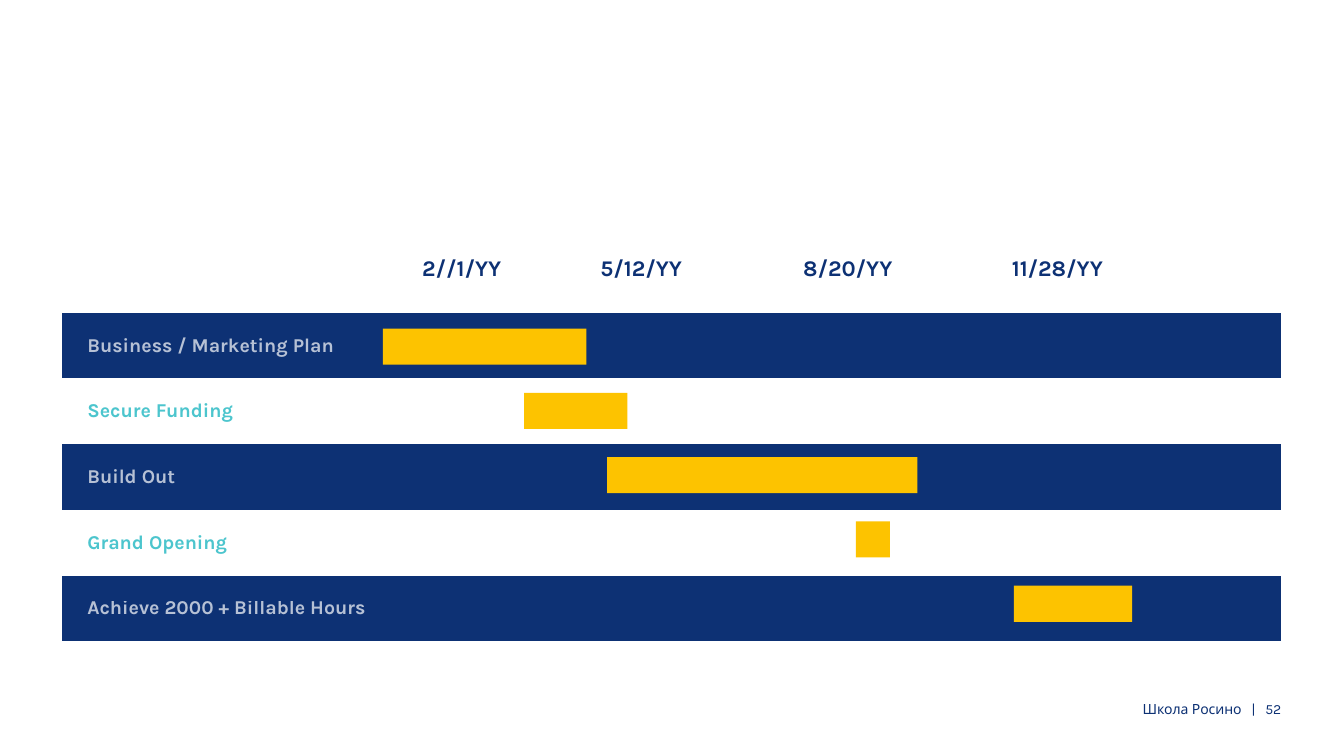
"""Build a project timeline slide with five tasks and their date bars."""
from lxml import etree
from pptx import Presentation
from pptx.dml.color import RGBColor
from pptx.enum.shapes import MSO_SHAPE
from pptx.enum.text import MSO_ANCHOR, PP_ALIGN
from pptx.oxml.ns import qn
from pptx.util import Cm, Pt

RECT = MSO_SHAPE.RECTANGLE
MIDDLE = MSO_ANCHOR.MIDDLE
RIGHT = PP_ALIGN.RIGHT
NAVY, GOLD, TEAL, WHITE = "0D3174", "FDC300", "00ADB9", "FFFFFF"
PLAIN = "{2D5ABB26-0587-4C30-8999-92F81FD0307C}"


def tone(code):
    return RGBColor.from_string(code)


def write(par, text, size, code, bold=False):
    run = par.add_run()
    run.text = text
    run.font.name = "Karla"
    run.font.size = Pt(size)
    run.font.bold = bold
    run.font.color.rgb = tone(code)
    return run


deck = Presentation()
deck.slide_width, deck.slide_height = Cm(33.87), Cm(19.05)
slide = deck.slides.add_slide(deck.slide_layouts[6])
shapes = slide.shapes

foot = shapes.add_textbox(Cm(25.58), Cm(17.65), Cm(6.71), Cm(1.02)).text_frame
foot.word_wrap = True
foot.margin_left = foot.margin_right = foot.margin_top = foot.margin_bottom = 0
foot.paragraphs[0].alignment = RIGHT
write(foot.paragraphs[0], "Школа Росино\u00a0\u00a0 |\u00a0\u00a0 52".replace("\u00a0", " "), 10, NAVY)

tasks = [
    ("Business / Marketing Plan", 9.65, 5.13),
    ("Secure Funding", 13.21, 2.6),
    ("Build Out", 15.3, 7.82),
    ("Grand Opening", 21.57, 0.86),
    ("Achieve 2000 + Billable Hours", 25.55, 2.98),
]
frame = shapes.add_table(len(tasks), 4, Cm(1.56), Cm(7.88), Cm(30.71), Cm(8.28))
table = frame.table
table.first_row = table.horz_banding = False
frame._element.find(".//" + qn("a:tableStyleId")).text = PLAIN
for col, width in zip(table.columns, (12.59, 6.04, 6.04, 6.04)):
    col.width = Cm(width)

for i, (task, left, width) in enumerate(tasks):
    dark = i % 2 == 0
    for cell in table.rows[i].cells:
        if dark:
            cell.fill.solid()
            cell.fill.fore_color.rgb = tone(NAVY)
        else:
            cell.fill.background()
    cell = table.cell(i, 0)
    cell.vertical_anchor = MIDDLE
    cell.margin_left = 0
    par = cell.text_frame.paragraphs[0]
    props = par._p.get_or_add_pPr()
    props.set("marL", str(Cm(0.64)))
    props.set("indent", "0")
    run = write(par, task, 14, WHITE if dark else TEAL, True)
    shade = run._r.find(".//" + qn("a:srgbClr"))
    etree.SubElement(shade, qn("a:alpha")).set("val", "70000")

    bar = shapes.add_shape(RECT, Cm(left), Cm(8.28 + 1.62 * i), Cm(width), Cm(0.91))
    bar.shadow.inherit = False
    bar.fill.solid()
    bar.fill.fore_color.rgb = tone(GOLD)
    bar.line.fill.background()

dates = [
    ("2//1/YY", 10.39, 3.18),
    ("5/12/YY", 14.88, 3.3),
    ("8/20/YY", 19.99, 3.12),
    ("11/28/YY", 25.25, 3.58),
]
for date, left, width in dates:
    box = shapes.add_textbox(Cm(left), Cm(6.27), Cm(width), Cm(1.1)).text_frame
    box.word_wrap = True
    par = box.paragraphs[0]
    par.space_before = Pt(6)
    write(par, date, 16, NAVY, True)

deck.save("out.pptx")
